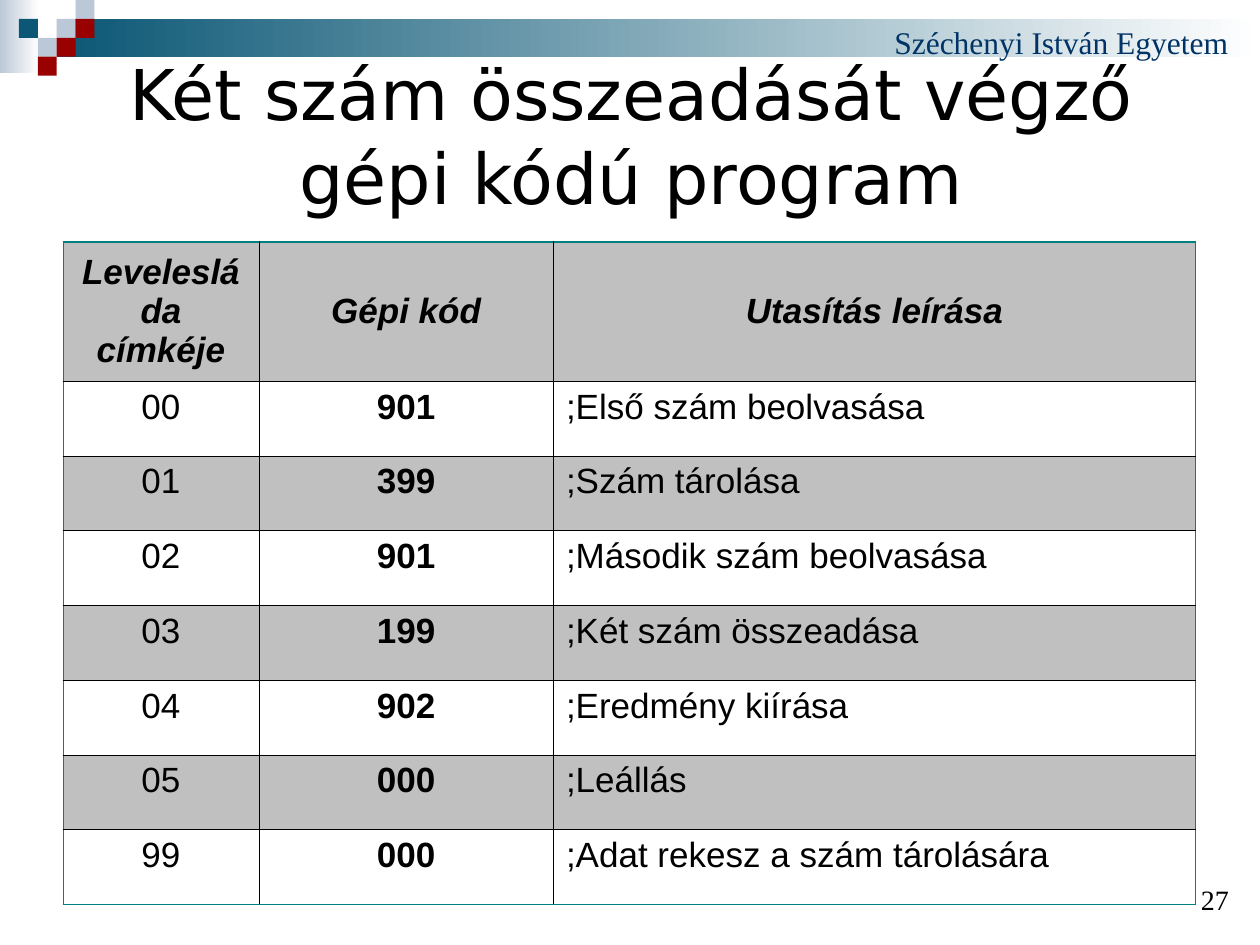
from lxml.etree import SubElement
from pptx import Presentation
from pptx.dml.color import RGBColor as Rgb
from pptx.enum.shapes import MSO_SHAPE as Shape
from pptx.enum.text import MSO_ANCHOR as Anchor, PP_ALIGN as Align
from pptx.oxml.ns import qn
from pptx.util import Inches, Pt

COLORS = {
    "white": "FFFFFF", "black": "000000", "mist": "BBC8D7", "petrol": "0B5775",
    "red": "990000", "navy": "003366", "grey": "C0C0C0", "teal": "008080",
}
UNIT = 0.15
SQUARES = [
    (3, 1, "mist"), (4, 0, "mist"), (4, 1, "red"), (2, 2, "mist"),
    (1, 1, "petrol"), (3, 2, "red"), (2, 3, "red"),
]
COLUMN_SHARES = [0.173, 0.26, 0.567]
HEADER_SHARE = 0.21
HEADINGS = ("Levelesláda címkéje", "Gépi kód", "Utasítás leírása")
PROGRAM = [
    ("00", "901", ";Első szám beolvasása"),
    ("01", "399", ";Szám tárolása"),
    ("02", "901", ";Második szám beolvasása"),
    ("03", "199", ";Két szám összeadása"),
    ("04", "902", ";Eredmény kiírása"),
    ("05", "000", ";Leállás"),
    ("99", "000", ";Adat rekesz a szám tárolására"),
]


def color(name):
    """Return the named colour."""
    return Rgb.from_string(COLORS[name])


def style_text(frame, text, size, face, ink, align, bold=False, italic=False):
    """Write one paragraph and format its run."""
    frame.text = text
    para = frame.paragraphs[0]
    para.alignment = align
    font = para.runs[0].font
    font.size, font.name, font.bold, font.italic = Pt(size), face, bold, italic
    font.color.rgb = color(ink)


def add_label(page, box, text, size, face, ink, align, anchor):
    """Place a wrapped text box."""
    frame = page.shapes.add_textbox(*map(Inches, box)).text_frame
    frame.word_wrap = True
    frame.vertical_anchor = anchor
    style_text(frame, text, size, face, ink, align)


def add_block(page, box, tint, fade=False):
    """Place a borderless rectangle, solid or fading to white on the right."""
    block = page.shapes.add_shape(Shape.RECTANGLE, *map(Inches, box))
    block.shadow.inherit = False
    block.line.fill.background()
    if fade:
        block.fill.gradient()
        block.fill.gradient_angle = 180
        for stop, name in zip(block.fill.gradient_stops, ("white", tint)):
            stop.color.rgb = color(name)
    else:
        block.fill.solid()
        block.fill.fore_color.rgb = color(tint)


def add_banner(page, box):
    """Place the fading band, the mosaic squares and the university name."""
    left, top, width, height = box
    add_block(page, (left, top, 0.31, 0.58), "mist", fade=True)
    start = 3 * UNIT
    add_block(page, (left + start, top + UNIT, width - start, 2 * UNIT), "petrol", fade=True)
    for column, row, tint in SQUARES:
        add_block(page, (left + column * UNIT, top + row * UNIT, UNIT, UNIT), tint)
    name_width = 0.3 * width
    add_label(page, (left + width - name_width, top + 0.13, name_width, 0.4),
              "Széchenyi István Egyetem", 18, "Times New Roman", "navy",
              Align.LEFT, Anchor.TOP)


def set_border(cell, side, tint, points):
    """Draw one border of a table cell."""
    line = SubElement(cell._tc.get_or_add_tcPr(), qn("a:ln" + side), w=str(Pt(points)))
    fill = SubElement(line, qn("a:solidFill"))
    SubElement(fill, qn("a:srgbClr"), val=COLORS[tint])


def add_program_table(page, box):
    """Place the machine code table with shaded alternate rows."""
    left, top, width, height = box
    rows = [HEADINGS, *PROGRAM]
    last_row, last_column = len(rows) - 1, len(HEADINGS) - 1
    table = page.shapes.add_table(len(rows), len(HEADINGS), *map(Inches, box)).table
    for column, share in zip(table.columns, COLUMN_SHARES):
        column.width = Inches(width * share)
    for index, row in enumerate(table.rows):
        share = (1 - HEADER_SHARE) / len(PROGRAM) if index else HEADER_SHARE
        row.height = Inches(height * share)
    for i, texts in enumerate(rows):
        for j, text in enumerate(texts):
            cell = table.cell(i, j)
            heading = i == 0
            cell.vertical_anchor = Anchor.MIDDLE if heading else Anchor.TOP
            align = Align.JUSTIFY if j == last_column and not heading else Align.CENTER
            style_text(cell.text_frame, text, 20, "Arial", "black", align,
                       bold=heading or j == 1, italic=heading)
            outer = {"L": j == 0, "R": j == last_column, "T": heading, "B": i == last_row}
            for side, is_outer in outer.items():
                outer_points = 0.45 if side in "LR" else 0.96
                set_border(cell, side, *(("teal", outer_points) if is_outer else ("black", 0.34)))
            if i % 2 == 0:
                cell.fill.solid()
                cell.fill.fore_color.rgb = color("grey")
            if i % 2 or i == last_row:
                cell.fill.background()
    for index in range(2, last_row, 2):
        for cell in table.rows[index].cells:
            cell.fill.solid()
            cell.fill.fore_color.rgb = color("grey")


def main():
    """Build the deck."""
    deck = Presentation()
    deck.slide_width, deck.slide_height = Inches(10), Inches(7.5)
    page = deck.slides.add_slide(deck.slide_layouts[6])
    add_banner(page, (0, 0, 10, 0.6))
    add_label(page, (0.51, 0.68, 9, 0.77), "Két szám összeadását végző gépi kódú program",
              40, "DejaVu Sans", "black", Align.CENTER, Anchor.MIDDLE)
    add_program_table(page, (0.5, 1.92, 8.99, 5.26))
    add_label(page, (8.7, 6.98, 1.15, 0.34), "27", 16, "Times New Roman", "black",
              Align.RIGHT, Anchor.BOTTOM)
    deck.save("out.pptx")


if __name__ == "__main__":
    main()
